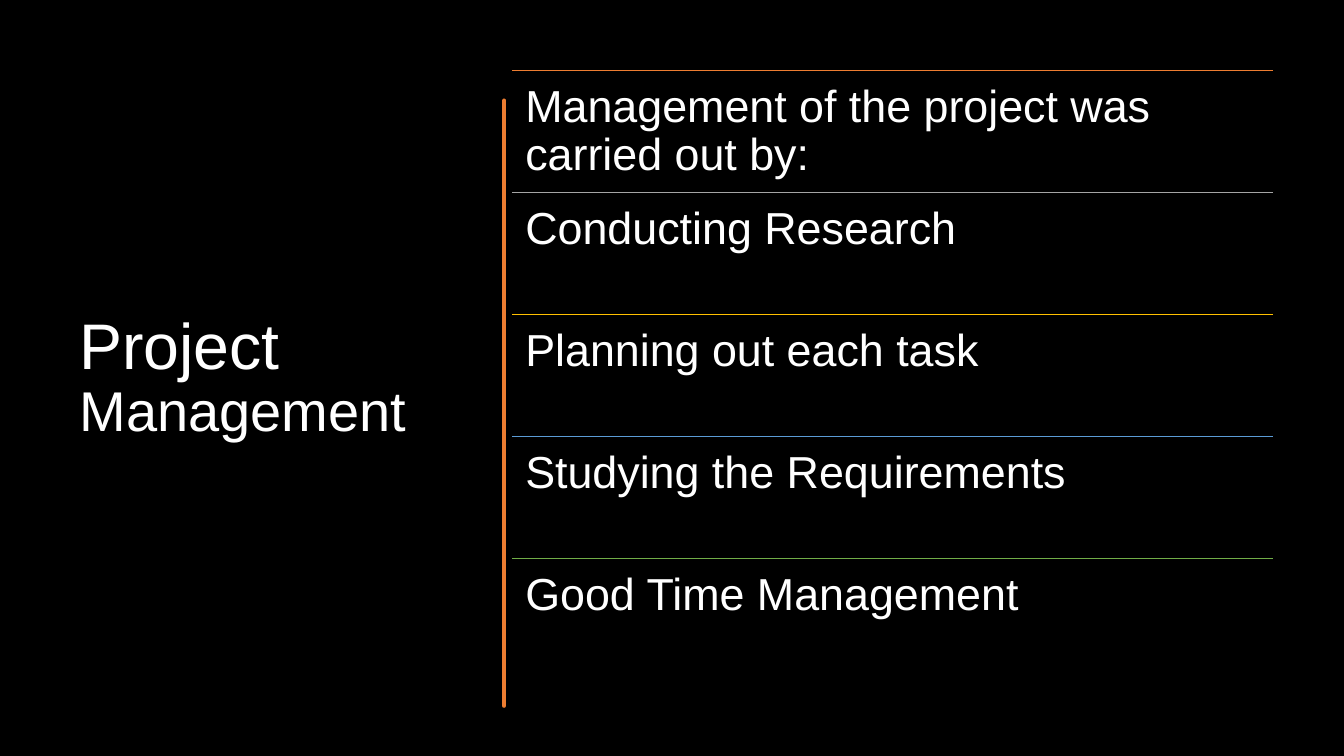
from pptx import Presentation
from pptx.dml.color import RGBColor
from pptx.enum.shapes import MSO_CONNECTOR
from pptx.enum.text import MSO_ANCHOR
from pptx.oxml.ns import qn
from pptx.util import Inches, Pt
from lxml import etree

STRAIGHT = MSO_CONNECTOR.STRAIGHT
TOP, MIDDLE = MSO_ANCHOR.TOP, MSO_ANCHOR.MIDDLE

# Content
TITLE = [("Project ", 46), ("Management", 40)]
POINTS = [
    ("Management of the project was carried out by:", "orange"),
    ("Conducting Research", "gray"),
    ("Planning out each task", "gold"),
    ("Studying the Requirements", "blue"),
    ("Good Time Management", "green"),
]
POINT_SIZE = 32
COLORS = {
    "black": "000000", "white": "FFFFFF", "orange": "ED7D31", "gray": "A5A5A5",
    "gold": "FFC000", "blue": "5B9BD5", "green": "70AD47",
}

# Layout in inches
SLIDE_W, SLIDE_H = 13.33, 7.5
TITLE_BOX = (0.69, 0.7, 3.74, 6.11)
LIST_X, LIST_Y, LIST_W, ROW_H = 5.08, 0.7, 7.55, 1.21
ROW_INSET, TITLE_INSET = (0.13, 0.13), (0.1, 0.05)

# Hand-drawn divider: each curve is (control x, y, control x, y, end y)
DIVIDER_TOP, DIVIDER_BOTTOM = 0.84, 6.76
RIGHT_X, LEFT_X = 4.75, 4.73
RIGHT_EDGE = [
    (4.77, 1.02, 4.77, 1.19, 1.46), (4.73, 1.73, 4.76, 1.95, 2.26),
    (4.74, 2.57, 4.75, 2.62, 2.94), (4.74, 3.25, 4.77, 3.42, 3.56),
    (4.73, 3.7, 4.79, 4.14, 4.36), (4.71, 4.57, 4.72, 4.84, 5.1),
    (4.77, 5.36, 4.77, 5.64, 5.84), (4.73, 6.03, 4.76, 6.5, 6.76),
]
LEFT_EDGE = [
    (4.74, 6.46, 4.71, 6.44, 6.13), (4.74, 5.83, 4.74, 5.7, 5.57),
    (4.72, 5.44, 4.72, 4.95, 4.77), (4.73, 4.59, 4.71, 4.45, 4.15),
    (4.74, 3.86, 4.72, 3.73, 3.35), (4.74, 2.98, 4.72, 2.81, 2.5),
    (4.74, 2.18, 4.75, 2, 1.81), (4.7, 1.63, 4.77, 1.04, 0.84),
]
CURVE_STEPS = 8


def color(name):
    return RGBColor.from_string(COLORS[name])


def add_text(box, runs, inset, anchor):
    frame = slide.shapes.add_textbox(*map(Inches, box)).text_frame
    side, end = map(Inches, inset)
    layout = {"word_wrap": True, "vertical_anchor": anchor, "margin_left": side,
              "margin_right": side, "margin_top": end, "margin_bottom": end}
    for key, value in layout.items():
        setattr(frame, key, value)
    paragraph = frame.paragraphs[0]
    paragraph.line_spacing = 0.9
    for words, size in runs:
        run = paragraph.add_run()
        run.text = words
        for key, value in {"name": "Arial", "size": Pt(size)}.items():
            setattr(run.font, key, value)
        run.font.color.rgb = color("white")


def edge_points(x, y, curves):
    """Sample a chain of cubic curves whose ends all lie on the same x."""
    points = [(x, y)]
    for x1, y1, x2, y2, end in curves:
        for step in range(1, CURVE_STEPS + 1):
            t = step / CURVE_STEPS
            a, b, c, d = (1 - t) ** 3, 3 * t * (1 - t) ** 2, 3 * t * t * (1 - t), t ** 3
            points.append((a * x + b * x1 + c * x2 + d * x,
                           a * y + b * y1 + c * y2 + d * end))
        y = end
    return points


prs = Presentation()
prs.slide_width, prs.slide_height = Inches(SLIDE_W), Inches(SLIDE_H)
slide = prs.slides.add_slide(prs.slide_layouts[6])
slide.background.fill.solid()
slide.background.fill.fore_color.rgb = color("black")

# Title
add_text(TITLE_BOX, TITLE, TITLE_INSET, MIDDLE)

# Divider
outline = (edge_points(RIGHT_X, DIVIDER_TOP, RIGHT_EDGE)
           + edge_points(LEFT_X, DIVIDER_BOTTOM, LEFT_EDGE))
builder = slide.shapes.build_freeform(*outline[0], scale=Inches(1))
builder.add_line_segments(outline[1:], close=True)
divider = builder.convert_to_shape()
divider.shadow.inherit = False
divider.fill.solid()
divider.fill.fore_color.rgb = divider.line.color.rgb = color("orange")
divider.line.width = Pt(3.25)
etree.SubElement(divider.line._get_or_add_ln(), qn("a:round"))

# List: a coloured rule above each point
for row, (point, rule_color) in enumerate(POINTS):
    y = LIST_Y + row * ROW_H
    rule = slide.shapes.add_connector(
        STRAIGHT, *map(Inches, (LIST_X, y, LIST_X + LIST_W, y)))
    rule.line.color.rgb = color(rule_color)
    rule.line.width = Pt(1)
    etree.SubElement(rule._element.spPr, qn("a:effectLst"))
    add_text((LIST_X, y, LIST_W, ROW_H), [(point, POINT_SIZE)], ROW_INSET, TOP)

prs.save("out.pptx")
